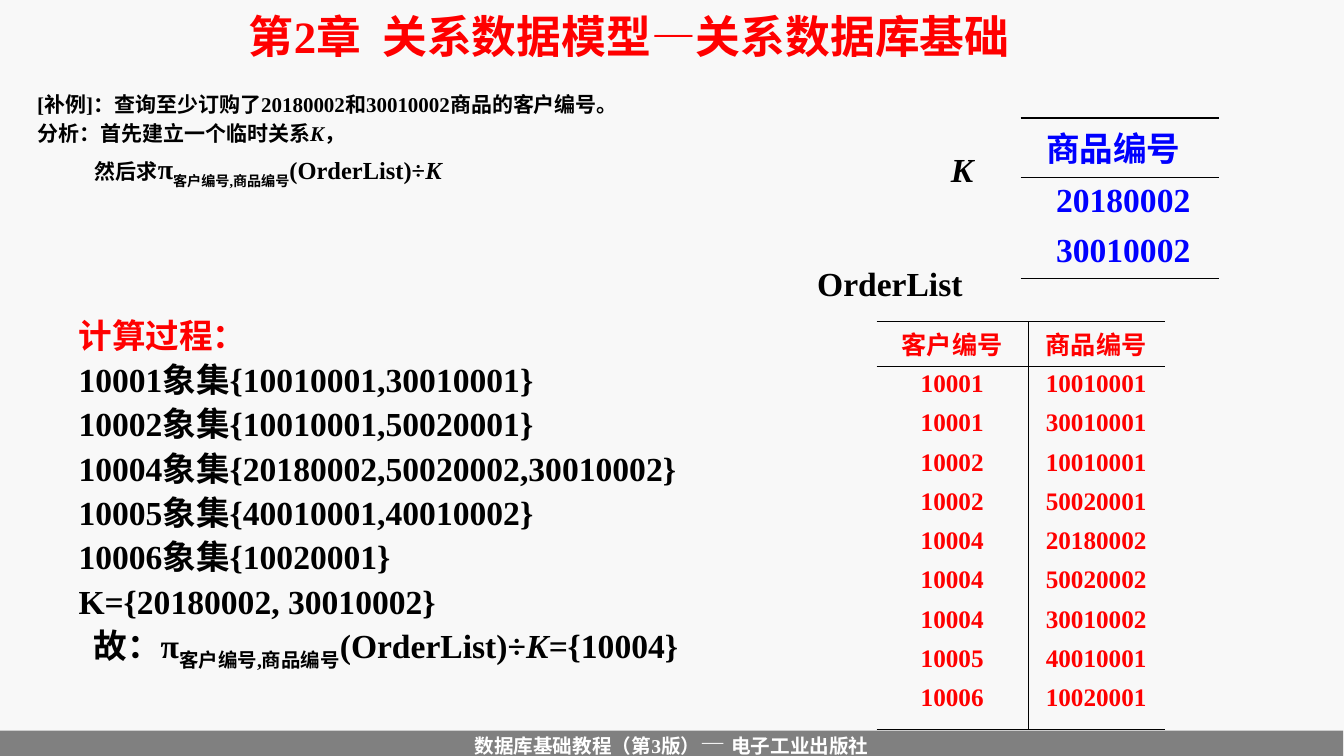
"""Build the relational division example slide with its two relations."""
from lxml.etree import SubElement
from pptx import Presentation
from pptx.dml.color import RGBColor
from pptx.enum.shapes import MSO_SHAPE
from pptx.enum.text import MSO_ANCHOR, PP_ALIGN
from pptx.oxml.ns import qn
from pptx.util import Cm, Pt

RED, BLUE, BLACK, WHITE = "FF0000", "0000FF", "000000", "FFFFFF"
BACKGROUND, GREY = "F8F8F8", "808080"


def color(value):
    return RGBColor.from_string(value)


def write(paragraph, runs, **base):
    for text, changes in runs:
        style = {"size": 24, "bold": True, "name": "Times New Roman", "color": BLACK} | base | changes
        run = paragraph.add_run()
        run.text = text
        run.font.color.rgb = color(style.pop("color"))
        style["size"] = Pt(style["size"])
        properties = run.font._element
        for name in ("baseline", "spc"):
            if name in style:
                properties.set(name, str(style.pop(name)))
        for name, value in style.items():
            setattr(run.font, name, value)
        SubElement(properties, qn("a:ea"), typeface="Noto Sans CJK SC")


presentation = Presentation()
presentation.slide_width, presentation.slide_height = Cm(33.88), Cm(19.05)
slide = presentation.slides.add_slide(presentation.slide_layouts[6])
slide.background.fill.solid()
slide.background.fill.fore_color.rgb = color(BACKGROUND)

footer = slide.shapes.add_shape(MSO_SHAPE.RECTANGLE, Cm(0), Cm(18.41), Cm(33.86), Cm(0.66))
footer.shadow.inherit = False
footer.fill.solid()
footer.fill.fore_color.rgb = color(GREY)
footer.line.fill.background()
footer.text_frame.word_wrap = False
footer.text_frame.vertical_anchor = MSO_ANCHOR.MIDDLE
footer_paragraph = footer.text_frame.paragraphs[0]
footer_paragraph.alignment = PP_ALIGN.CENTER
write(footer_paragraph, [
    ("数据库基础教程（第3版）", {}),
    ("— ", {"size": 18, "bold": False, "name": "Arial", "color": BACKGROUND}),
    ("电子工业出版社", {}),
], size=14, color=WHITE)

projected = "客户编号,商品编号"
title_runs = [("第2章", {}), (" ", {"spc": 800}), ("关系数据模型—关系数据库基础", {})]
analysis = [
    ([("[补例]：查询至少订购了20180002和30010002商品的客户编号。", {})], {}),
    ([("分析：首先建立一个临时关系", {}), ("K", {"italic": True}), ("，", {})],
     {"space_before": Pt(6)}),
    ([("然后求", {}), ("π", {"size": 20}), (projected, {"size": 17.5, "baseline": -30000}),
      ("(OrderList)÷", {"size": 17.5}), ("K", {"size": 17.5, "italic": True})],
     {"space_before": Pt(7), "indent": Cm(1.45)}),
]
image_sets = {
    "10001": ["10010001", "30010001"],
    "10002": ["10010001", "50020001"],
    "10004": ["20180002", "50020002", "30010002"],
    "10005": ["40010001", "40010002"],
    "10006": ["10020001"],
}
process = [([("计算过程：", {"color": RED})], {})]
process += [([(f"{customer}象集{{{','.join(goods)}}}", {})], {})
            for customer, goods in image_sets.items()]
process += [
    ([("K={20180002, 30010002}", {})], {}),
    ([("故：π", {}), (projected, {"baseline": -25000}), ("(OrderList)÷", {}),
      ("K=", {"italic": True}), ("{10004}", {})], {"indent": Cm(0.38)}),
]
text_boxes = [
    ((1.47, 0, 28.8, 1.78), [(title_runs, {"alignment": PP_ALIGN.CENTER})],
     {"size": 32, "color": RED}, 1, MSO_ANCHOR.MIDDLE),
    ((0.69, 2.31, 32.46, 4.65), analysis, {"size": 15}, 0.8, MSO_ANCHOR.TOP),
    ((23.72, 3.63, 2.34, 1.27), [([("K", {})], {})], {"italic": True}, 1, MSO_ANCHOR.TOP),
    ((20.35, 6.5, 5.38, 1.27), [([("OrderList", {})], {})], {}, 1, MSO_ANCHOR.TOP),
    ((1.73, 7.7, 19.02, 11), process, {}, 1.1, MSO_ANCHOR.TOP),
]
for place, lines, style, spacing, anchor in text_boxes:
    frame = slide.shapes.add_textbox(*map(Cm, place)).text_frame
    frame.word_wrap = True
    frame.vertical_anchor = anchor
    for index, (runs, layout) in enumerate(lines):
        paragraph = frame.add_paragraph() if index else frame.paragraphs[0]
        paragraph.line_spacing = spacing
        for name, value in layout.items():
            if name == "indent":
                paragraph._p.get_or_add_pPr().set("marL", str(value))
            else:
                setattr(paragraph, name, value)
        write(paragraph, runs, **style)

title_paragraph = slide.shapes[1].text_frame.paragraphs[0]
for run in title_paragraph.runs:
    properties = run.font._element
    effects = SubElement(properties, qn("a:effectLst"))
    shadow = SubElement(effects, qn("a:outerShdw"), dist="25400", dir="2700000")
    SubElement(shadow, qn("a:srgbClr"), val="C0C0C0")
    properties.find(qn("a:latin")).addprevious(effects)

orders = [("客户编号", "商品编号")]
orders += [(customer, item) for customer, goods in image_sets.items()
           for item in goods if item != "40010002"]
tables = [
    {"rows": [("商品编号",), ("20180002",), ("30010002",)], "at": (25.73, 2.97), "columns": [5],
     "heights": [1.5, 1.27, 1.27], "style": {"color": BLUE}, "spacing": 1,
     "align": PP_ALIGN.LEFT, "margins": (0.64, 0.89), "top": 1.08},
    {"rows": orders, "at": (22.1, 8.1), "columns": [3.81, 3.45],
     "heights": [1.13] + [0.99] * 8 + [1.23], "style": {"size": 18, "color": RED}, "spacing": 0.95,
     "align": PP_ALIGN.CENTER, "margins": (0.25, 0.25), "top": 0.45},
]
for relation in tables:
    rows, columns, heights = relation["rows"], relation["columns"], relation["heights"]
    table = slide.shapes.add_table(len(rows), len(columns), *map(Cm, relation["at"]),
                                   Cm(sum(columns)), Cm(sum(heights))).table
    table.first_row = table.horz_banding = False
    for column, width in zip(table.columns, columns):
        column.width = Cm(width)
    for row_index, values in enumerate(rows):
        table.rows[row_index].height = Cm(heights[row_index])
        for column_index, value in enumerate(values):
            cell = table.cell(row_index, column_index)
            cell.margin_left = Cm(relation["margins"][min(row_index, 1)])
            paragraph = cell.text_frame.paragraphs[0]
            paragraph.alignment = relation["align"]
            paragraph.line_spacing = relation["spacing"]
            write(paragraph, [(value, {})], **relation["style"])
            borders = {
                "L": 0.45 if column_index > 0 else 0,
                "R": 0.45 if column_index < len(columns) - 1 else 0,
                "T": {0: relation["top"], 1: 0.45}.get(row_index, 0),
                "B": 0.45 if row_index in (0, len(rows) - 1) else 0,
            }
            cell_properties = cell._tc.get_or_add_tcPr()
            for side, width in borders.items():
                line = SubElement(cell_properties, qn(f"a:ln{side}"), w=str(Pt(width)))
                if width:
                    SubElement(SubElement(line, qn("a:solidFill")), qn("a:srgbClr"), val=BLACK)
                else:
                    SubElement(line, qn("a:noFill"))
            cell.fill.background()

presentation.save("out.pptx")
